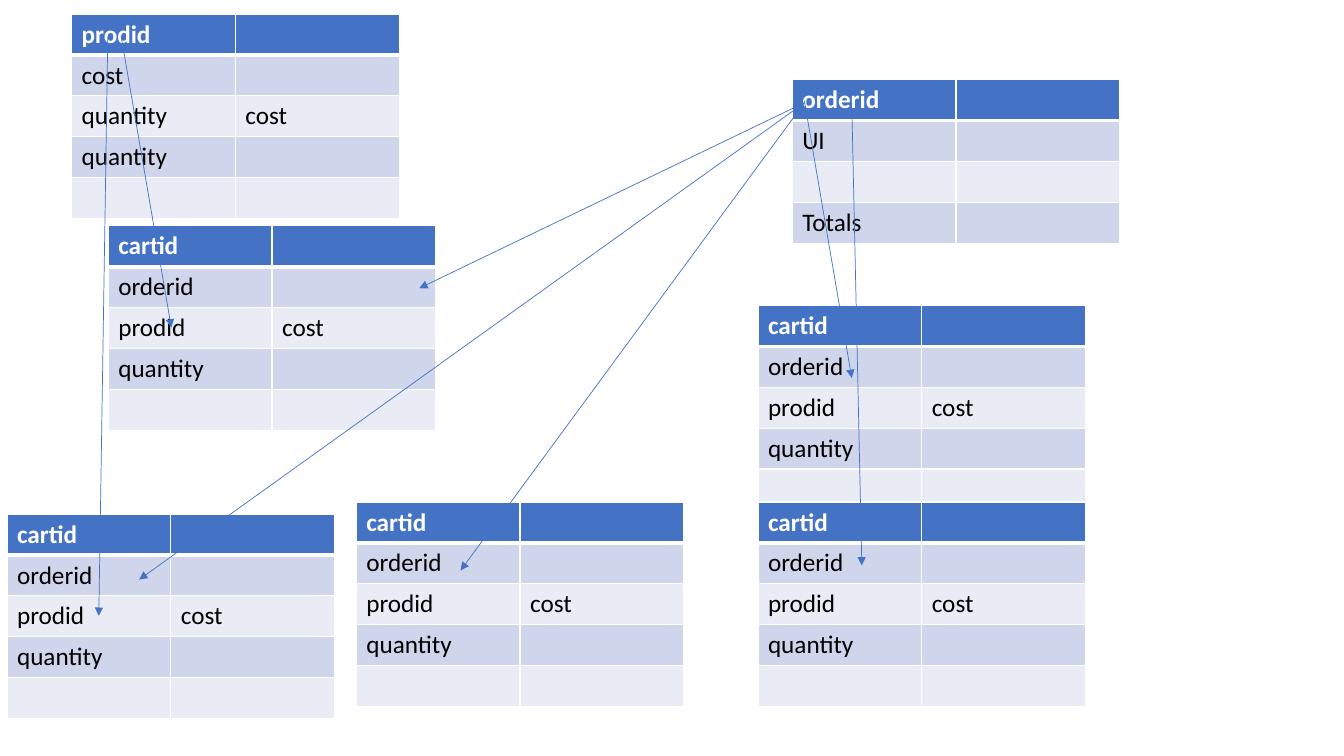
"""Build a slide of linked product, order and cart tables."""
from lxml import etree
from pptx import Presentation, util as u
from pptx.dml.color import RGBColor
from pptx.enum import shapes
from pptx.oxml import ns

COLORS = {"header": "4472C4", "odd": "CFD5EA", "even": "E9EBF5",
          "white": "FFFFFF", "black": "000000", "arrow": "4472C4"}
COLUMN_WIDTH, ROW_HEIGHT = 117, 29.2

PRODUCT = [("prodid", ""), ("cost", ""), ("quantity", "cost"), ("quantity", ""), ("", "")]
ORDER = [("orderid", ""), ("UI", ""), ("", ""), ("Totals", "")]
CART = [("cartid", ""), ("orderid", ""), ("prodid", "cost"), ("quantity", ""), ("", "")]

deck = Presentation()
deck.slide_width, deck.slide_height = u.Pt(960), u.Pt(540)
slide = deck.slides.add_slide(deck.slide_layouts[6])


def add_entity(fields, left, top):
    entity = slide.shapes.add_table(
        len(fields), 2, u.Pt(left), u.Pt(top),
        u.Pt(2 * COLUMN_WIDTH), u.Pt(len(fields) * ROW_HEIGHT)).table
    for row, values in enumerate(fields):
        entity.rows[row].height = u.Pt(ROW_HEIGHT)
        band = "header" if row == 0 else "odd" if row % 2 else "even"
        for column, value in enumerate(values):
            cell = entity.cell(row, column)
            cell.text = value
            font = cell.text_frame.paragraphs[0].font
            font.name, font.size, font.bold = "Calibri", u.Pt(18), row == 0
            font.color.rgb = RGBColor.from_string(COLORS["black" if row else "white"])
            properties = cell._tc.get_or_add_tcPr()
            for side in "LRTB":
                heavy = (row, side) in ((0, "B"), (1, "T"))
                edge = etree.SubElement(properties, ns.qn(f"a:ln{side}"),
                                        w=str(u.Pt(3 if heavy else 1)))
                paint = etree.SubElement(edge, ns.qn("a:solidFill"))
                etree.SubElement(paint, ns.qn("a:srgbClr"), val=COLORS["white"])
            cell.fill.solid()
            cell.fill.fore_color.rgb = RGBColor.from_string(COLORS[band])


def add_links(*links):
    for ends in links:
        link = slide.shapes.add_connector(
            shapes.MSO_CONNECTOR.STRAIGHT, *(u.Pt(value) for value in ends))
        link.line.width = u.Pt(0.5)
        link.line.color.rgb = RGBColor.from_string(COLORS["arrow"])
        etree.SubElement(link.line._get_or_add_ln(), ns.qn("a:tailEnd"), type="triangle")
        etree.SubElement(link._element.spPr, ns.qn("a:effectLst"))


add_entity(ORDER, 565.9, 56.9)
add_entity(CART, 77.3, 161.3)
add_links((574.6, 73.4, 299.5, 205.9))
for left, top in [(541.4, 218.2), (541.4, 358.6), (5, 367.2), (254.5, 358.6)]:
    add_entity(CART, left, top)
add_links((574.6, 73.4, 99.4, 414), (574.6, 73.4, 329, 407.5),
          (574.6, 72, 608.4, 270), (608.4, 73.4, 615.6, 403.9))
add_entity(PRODUCT, 51.1, 10.1)
add_links((86.4, 25.2, 122.4, 234), (77, 26.6, 70.6, 439.9))

deck.save("out.pptx")
